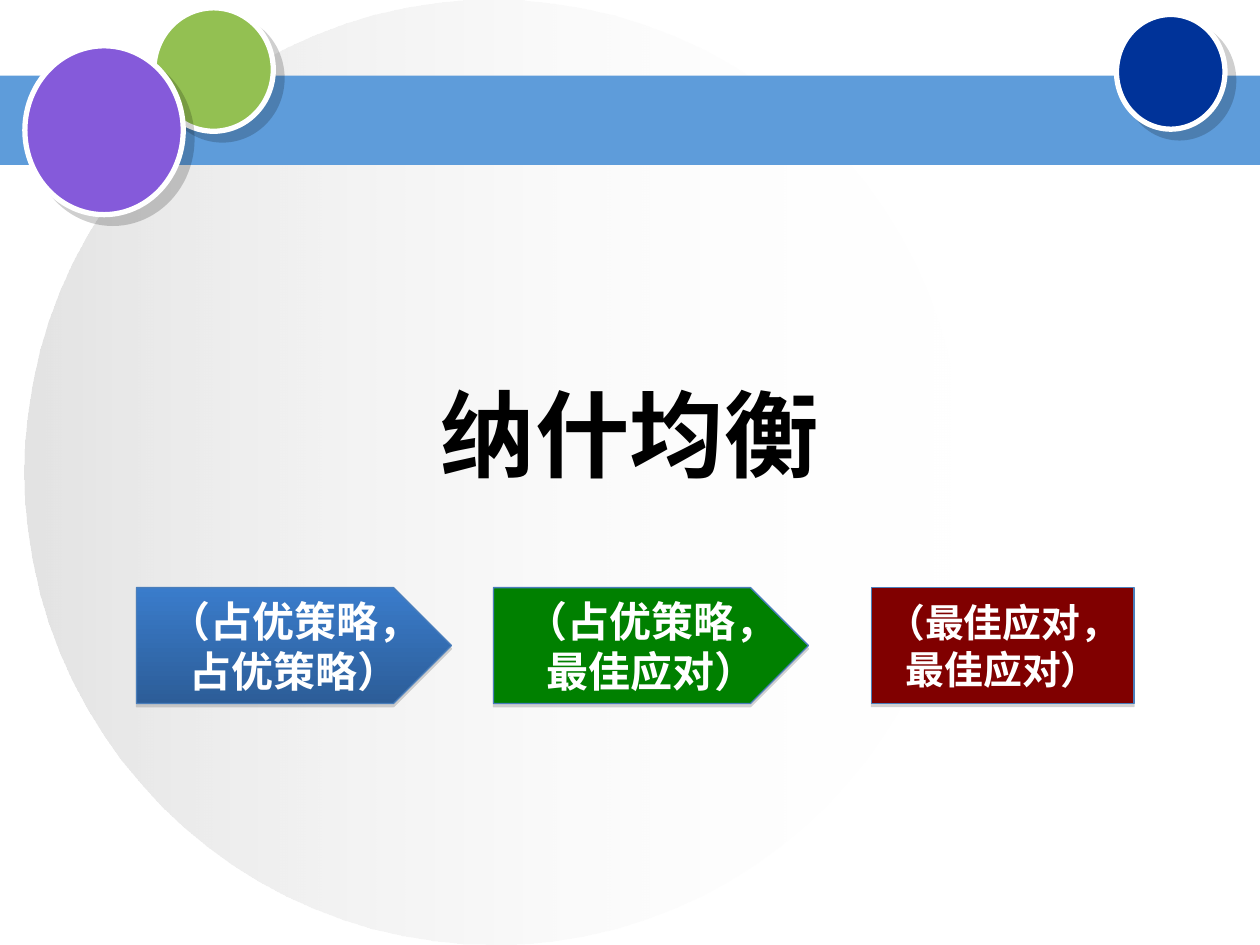
import pptx
import pptx.dml.color
import pptx.enum.shapes
import pptx.enum.text
import pptx.oxml
import pptx.oxml.ns
import pptx.util
from dataclasses import dataclass

Pt = pptx.util.Pt
Shape = pptx.enum.shapes.MSO_SHAPE


@dataclass(frozen=True)
class Theme:
    """Colours, type sizes and shadows of the slide."""
    font: str = "Arial"
    title_size: float = 54
    step_size: float = 24
    result_size: float = 22.2
    ink: str = "000000"
    white: str = "FFFFFF"
    silver: str = "C0C0C0"
    band: str = "5E9CDA"
    lime: str = "93C052"
    navy: str = "003399"
    violet: str = "855ADA"
    blue_top: str = "3A7CCB"
    blue_bottom: str = "2C5D98"
    green: str = "008000"
    maroon: str = "800000"
    edge: str = "4A7EBB"
    bubble_shadow: tuple = ("000000", 19, 7.1, 45)
    step_shadow: tuple = ("808080", 35, 1.8, 90)


def rgb(code):
    """Turn a hex code into a colour."""
    return pptx.dml.color.RGBColor.from_string(code)


def assign(target, values):
    """Set attributes from a dict of format values."""
    for name, value in values.items():
        setattr(target, name, value)


def element(tag, **attributes):
    """Make an empty DrawingML element."""
    node = pptx.oxml.parse_xml(f"<a:{tag} {pptx.oxml.ns.nsdecls('a')}/>")
    for name, value in attributes.items():
        node.set(name, str(value))
    return node


def add_alpha(colour_node, percent):
    """Set the opacity of a colour element."""
    colour_node.append(element("alpha", val=percent * 1000))


class SlideBuilder:
    """Hold the theme and the current slide."""

    def __init__(self, theme, slide):
        """Keep the theme and the slide."""
        self.theme = theme
        self.slide = slide

    def shape(self, kind, box, fill, line=None, shadow=None, angle=0, opacity=None):
        """Add a preset shape with a solid or gradient fill."""
        shape = self.slide.shapes.add_shape(kind, *map(Pt, box))
        if isinstance(fill, str):
            shape.fill.solid()
            shape.fill.fore_color.rgb = rgb(fill)
        else:
            shape.fill.gradient()
            shape.fill.gradient_angle = angle
            for stop, code in zip(shape.fill.gradient_stops, fill):
                stop.color.rgb = rgb(code)
        if opacity:
            colours = shape._element.spPr.findall(".//" + pptx.oxml.ns.qn("a:srgbClr"))
            for colour, percent in zip(colours, opacity):
                add_alpha(colour, percent)
        if line:
            code, width = line
            shape.line.color.rgb = rgb(code)
            shape.line.width = Pt(width)
        else:
            shape.line.fill.background()
        shape.shadow.inherit = False
        if shadow:
            self.cast_shadow(shape, *shadow)
        return shape

    def cast_shadow(self, shape, code, percent, distance, direction):
        """Give a shape a sharp outer shadow."""
        outer = element("outerShdw", blurRad=0, dist=int(Pt(distance)),
                        dir=direction * 60000, algn="ctr", rotWithShape=0)
        colour = element("srgbClr", val=code)
        add_alpha(colour, percent)
        outer.append(colour)
        shape._element.spPr.find(pptx.oxml.ns.qn("a:effectLst")).append(outer)

    def bubble(self, box, fill):
        """Add a white-rimmed decorative circle."""
        self.shape(Shape.OVAL, box, fill, (self.theme.white, 3), self.theme.bubble_shadow)

    def label(self, shape, lines, size, colour, spacing=None, left=7.2, wrap=True):
        """Set centred bold lines in a shape."""
        frame = shape.text_frame
        assign(frame, {
            "word_wrap": wrap,
            "vertical_anchor": pptx.enum.text.MSO_ANCHOR.MIDDLE,
            "margin_left": Pt(left), "margin_right": Pt(7.2),
            "margin_top": Pt(3.6), "margin_bottom": Pt(3.6),
        })
        frame.text = "\n".join(lines)
        for paragraph in frame.paragraphs:
            assign(paragraph, {"alignment": pptx.enum.text.PP_ALIGN.CENTER,
                               "line_spacing": spacing})
            assign(paragraph.font, {"name": self.theme.font, "size": Pt(size), "bold": True})
            paragraph.font.color.rgb = rgb(colour)

    def title(self, box, text):
        """Add the slide title."""
        heading = self.slide.shapes.add_textbox(*map(Pt, box))
        self.label(heading, [text], self.theme.title_size, self.theme.ink, spacing=1.2)

    def strategy(self, kind, box, fill, lines, size, **text_format):
        """Add a labelled strategy pair."""
        pair = self.shape(kind, box, fill, (self.theme.edge, 0.75),
                          self.theme.step_shadow, angle=270)
        self.label(pair, lines, size, self.theme.white, **text_format)


def main():
    """Build and save the slide."""
    deck = pptx.Presentation()
    assign(deck, {"slide_width": Pt(720), "slide_height": Pt(540)})
    theme = Theme()
    builder = SlideBuilder(theme, deck.slides.add_slide(deck.slide_layouts[6]))

    builder.shape(Shape.OVAL, (14, 0, 536, 540), (theme.silver, theme.white), opacity=(44, 0))
    builder.shape(Shape.RECTANGLE, (0, 43.2, 720, 51), theme.band)
    builder.bubble((88, 4.5, 68.2, 70.5), theme.lime)
    builder.bubble((638, 8.3, 62, 65.5), theme.navy)
    builder.bubble((14.2, 26.2, 90.5, 96.5), theme.violet)
    builder.title((36, 175.5, 648, 130.5), "纳什均衡")

    top, height, arrow_width = 335.8, 66.2, 180
    arrows = [
        (78, (theme.blue_top, theme.blue_bottom), ("（占优策略，", "占优策略）")),
        (282, theme.green, ("（占优策略，", "最佳应对）")),
    ]
    for left, fill, lines in arrows:
        builder.strategy(Shape.PENTAGON, (left, top, arrow_width, height), fill, lines,
                         theme.step_size, left=7.2 + height / 4, wrap=False)
    builder.strategy(Shape.RECTANGLE, (498, top, 150, height), theme.maroon,
                     ("（最佳应对，", "最佳应对）"), theme.result_size)
    deck.save("out.pptx")


if __name__ == "__main__":
    main()
